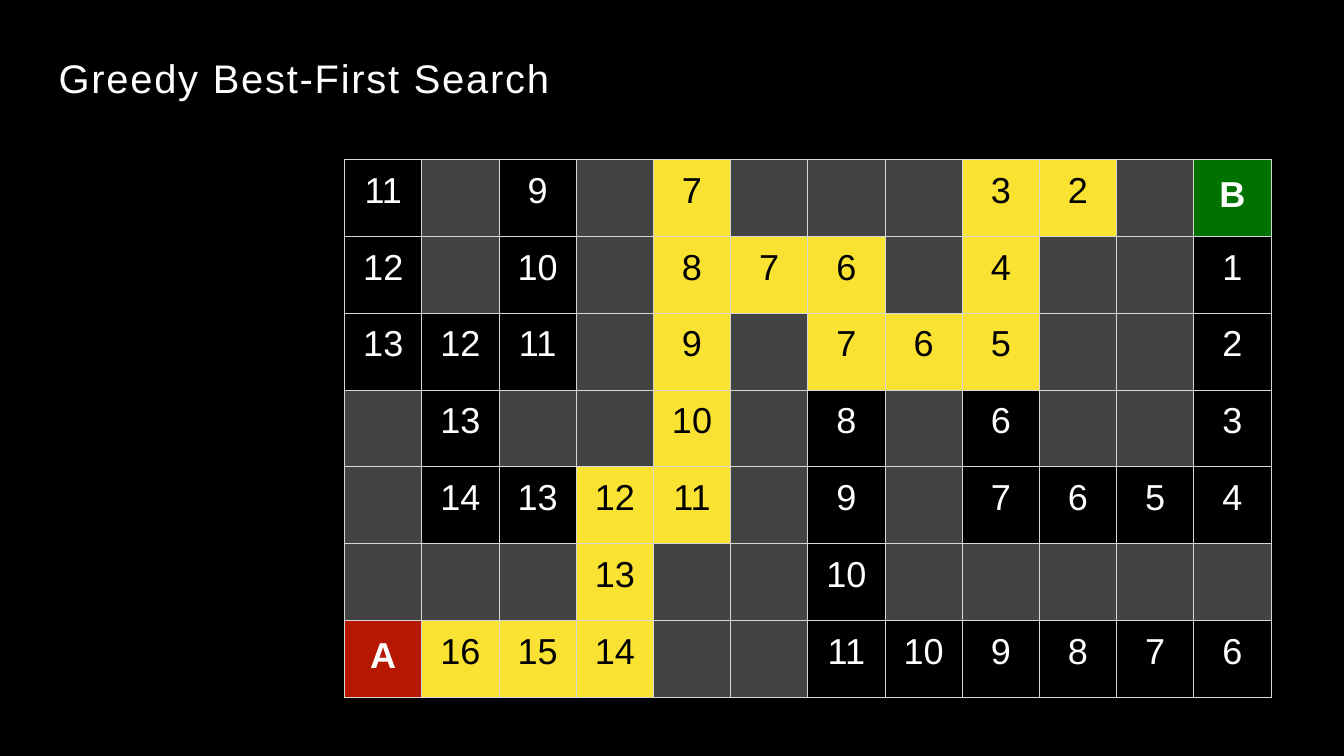
from dataclasses import dataclass

from lxml import etree
from pptx import Presentation
from pptx.dml.color import RGBColor
from pptx.enum.text import MSO_ANCHOR, MSO_AUTO_SIZE, PP_ALIGN
from pptx.oxml.ns import qn
from pptx.util import Pt

TOP = MSO_ANCHOR.TOP
NO_AUTOFIT = MSO_AUTO_SIZE.NONE
LEFT, CENTER = PP_ALIGN.LEFT, PP_ALIGN.CENTER
TITLE_ONLY = 5


@dataclass(frozen=True)
class Theme:
    """Colours, font and type sizes of the slide."""
    font: str = "Arial"
    title_size: float = 47
    title_spacing: float = 2.1
    cell_size: float = 42.5
    border_width: float = 1
    black: str = "000000"
    white: str = "FFFFFF"
    wall: str = "434343"
    visited: str = "FAE232"
    start: str = "B51700"
    goal: str = "017100"
    border: str = "D6D7D6"


THEME = Theme()
WALL, VISITED_MARK, START, GOAL = ".", "*", "A", "B"
MAZE = """
11  .   9   .   7*  .   .   .   3*  2*  .   B
12  .   10  .   8*  7*  6*  .   4*  .   .   1
13  12  11  .   9*  .   7*  6*  5*  .   .   2
.   13  .   .   10* .   8   .   6   .   .   3
.   14  13  12* 11* .   9   .   7   6   5   4
.   .   .   13* .   .   10  .   .   .   .   .
A   16* 15* 14* .   .   11  10  9   8   7   6
"""


def format_runs(paragraph, size, color, bold=False):
    """Set font, size, colour and weight of every run."""
    for run in paragraph.runs:
        run.font.name = THEME.font
        run.font.size = Pt(size)
        run.font.bold = bold
        run.font.color.rgb = RGBColor.from_string(color)


def add_title(slide, text):
    """Place and format the title placeholder."""
    title = slide.shapes.title
    title.left, title.top, title.width, title.height = Pt(69), Pt(62), Pt(581), Pt(58)
    frame = title.text_frame
    frame.text = text
    frame.auto_size = NO_AUTOFIT
    frame.vertical_anchor = TOP
    frame.margin_left = frame.margin_right = frame.margin_bottom = 0
    frame.margin_top = Pt(1)
    paragraph = frame.paragraphs[0]
    paragraph.alignment = LEFT
    format_runs(paragraph, THEME.title_size, THEME.white)
    for run in paragraph.runs:
        run.font._element.set("spc", str(round(THEME.title_spacing * 100)))


def add_borders(cell):
    """Draw a thin line on all four sides of a cell."""
    properties = cell._tc.get_or_add_tcPr()
    for side in ("a:lnL", "a:lnR", "a:lnT", "a:lnB"):
        line = etree.SubElement(properties, qn(side), w=str(Pt(THEME.border_width)))
        fill = etree.SubElement(line, qn("a:solidFill"))
        etree.SubElement(fill, qn("a:srgbClr"), val=THEME.border)


def cell_colors(token):
    """Return the fill and text colours for a maze token."""
    if token.endswith(VISITED_MARK):
        return THEME.visited, THEME.black
    fills = {WALL: THEME.wall, START: THEME.start, GOAL: THEME.goal}
    return fills.get(token, THEME.black), THEME.white


def fill_cell(cell, token):
    """Format one maze cell and write its distance or letter."""
    fill, color = cell_colors(token)
    add_borders(cell)
    cell.fill.solid()
    cell.fill.fore_color.rgb = RGBColor.from_string(fill)
    if token == WALL:
        return
    endpoint = token in (START, GOAL)
    cell.margin_left = cell.margin_right = cell.margin_bottom = 0
    cell.margin_top = Pt(18.2 if endpoint else 13)
    cell.vertical_anchor = TOP
    cell.text_frame.text = token.rstrip(VISITED_MARK)
    paragraph = cell.text_frame.paragraphs[0]
    paragraph.alignment = CENTER
    format_runs(paragraph, THEME.cell_size, color, endpoint)


def add_maze(slide, maze):
    """Add the maze as a table of equal cells."""
    rows = [line.split() for line in maze.strip().splitlines()]
    row_count, column_count = len(rows), len(rows[0])
    table = slide.shapes.add_table(
        row_count, column_count, Pt(406), Pt(188),
        Pt(90.95) * column_count, Pt(90.5) * row_count).table
    table.first_row = table.horz_banding = False
    for row_index, tokens in enumerate(rows):
        for column_index, token in enumerate(tokens):
            fill_cell(table.cell(row_index, column_index), token)


def main():
    """Build and save the slide."""
    presentation = Presentation()
    presentation.slide_width, presentation.slide_height = Pt(1583.3), Pt(890.6)
    slide = presentation.slides.add_slide(presentation.slide_layouts[TITLE_ONLY])
    background = slide.background.fill
    background.solid()
    background.fore_color.rgb = RGBColor.from_string(THEME.black)
    add_maze(slide, MAZE)
    add_title(slide, "Greedy Best-First Search")
    presentation.save("out.pptx")


if __name__ == "__main__":
    main()
